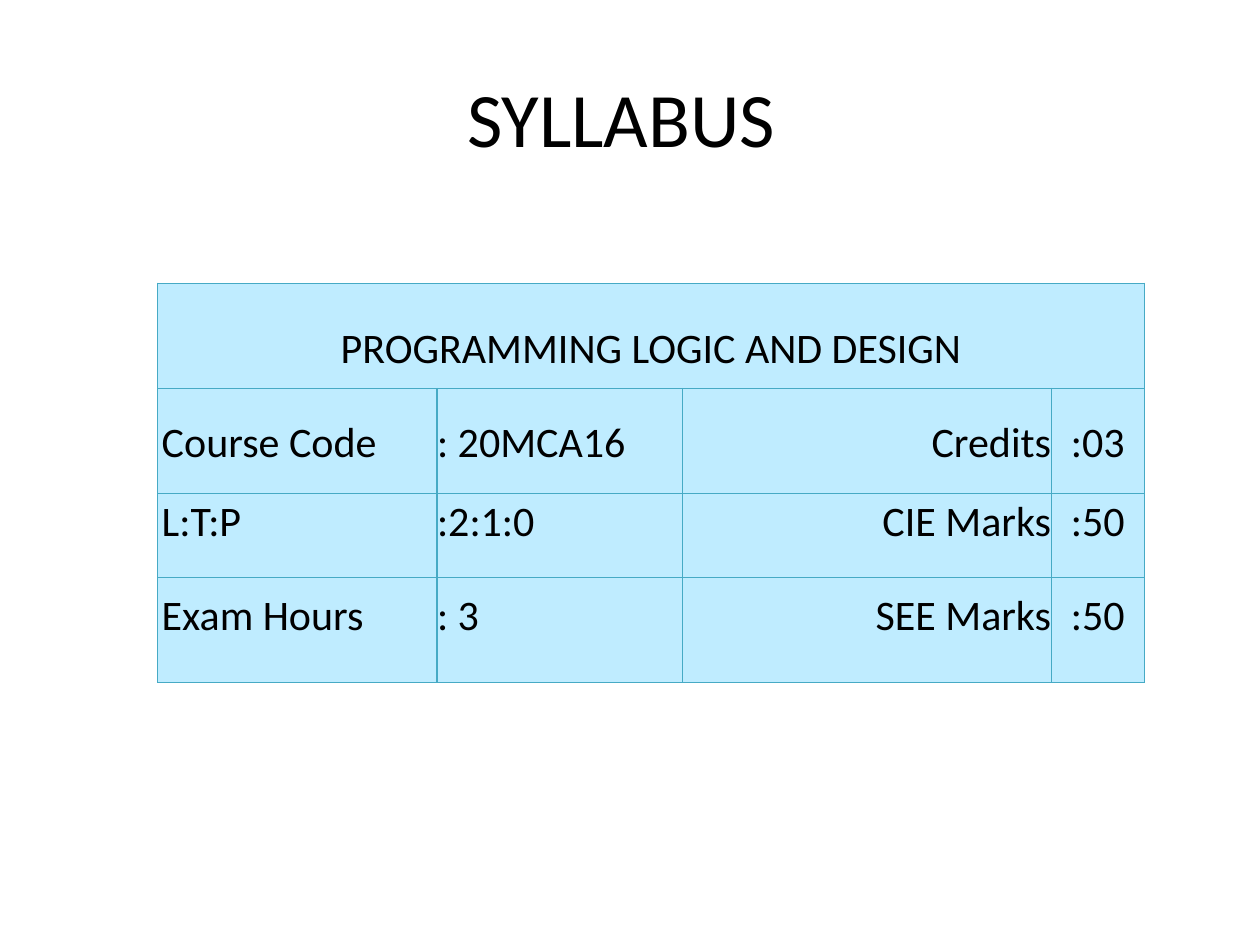
from lxml import etree
from pptx import Presentation
from pptx.dml.color import RGBColor
from pptx.enum.text import MSO_ANCHOR, PP_ALIGN
from pptx.oxml.ns import qn
from pptx.util import Cm, Pt

LEFT, MID, RIGHT = PP_ALIGN.LEFT, PP_ALIGN.CENTER, PP_ALIGN.RIGHT
MIDDLE = MSO_ANCHOR.MIDDLE


class Theme:
    font = "Calibri"
    ink = RGBColor(0x00, 0x00, 0x00)
    fill = RGBColor(0xBF, 0xEC, 0xFF)
    edge = "46AAC5"
    line = Pt(0.75)
    title = Pt(44)
    body = Pt(24)


def style(para, size, align):
    para.alignment = align
    for run in para.runs:
        run.font.name = Theme.font
        run.font.size = size
        run.font.color.rgb = Theme.ink


def border(cell):
    props = cell._tc.get_or_add_tcPr()
    for side in ("a:lnL", "a:lnR", "a:lnT", "a:lnB"):
        line = etree.SubElement(props, qn(side), w=str(Theme.line))
        solid = etree.SubElement(line, qn("a:solidFill"))
        etree.SubElement(solid, qn("a:srgbClr"), val=Theme.edge)


deck = Presentation()
deck.slide_width, deck.slide_height = Cm(25.4), Cm(19.05)
slide = deck.slides.add_slide(deck.slide_layouts[5])

# Title
title = slide.shapes.title
title.left, title.top = Cm(1.27), Cm(0.76)
title.width, title.height = Cm(22.86), Cm(3.18)
title.text_frame.text = "SYLLABUS "
title.text_frame.vertical_anchor = MIDDLE
style(title.text_frame.paragraphs[0], Theme.title, MID)

# Course table
rows = [
    ["PROGRAMMING LOGIC AND DESIGN", "", "", ""],
    ["Course Code", ": 20MCA16", "Credits", ":03"],
    ["L:T:P", ":2:1:0", "CIE Marks", ":50"],
    ["Exam Hours", ": 3", "SEE Marks", ":50"],
]
widths = [5.63, 4.95, 7.43, 1.88]
heights = [2.12, 2.12, 1.69, 2.12]
aligns = [LEFT, LEFT, RIGHT, MID]

table = slide.shapes.add_table(
    len(rows), len(widths), Cm(3.18), Cm(5.71),
    Cm(sum(widths)), Cm(sum(heights))).table
table.first_row = table.horz_banding = False
for col, width in zip(table.columns, widths):
    col.width = Cm(width)
for row, height in zip(table.rows, heights):
    row.height = Cm(height)

for r, row in enumerate(rows):
    for c, text in enumerate(row):
        cell = table.cell(r, c)
        border(cell)
        cell.fill.solid()
        cell.fill.fore_color.rgb = Theme.fill
        cell.vertical_anchor = MIDDLE
        cell.margin_left = Cm(0.08) if r and c == 0 else 0
        cell.margin_right = cell.margin_bottom = 0
        cell.margin_top = 0 if r else Cm(0.48)
        if not text:
            continue
        cell.text_frame.text = text
        para = cell.text_frame.paragraphs[0]
        para.line_spacing = 1.07 if r < 2 else Pt(13.7)
        para.space_after = Pt(8)
        style(para, Theme.body, aligns[c] if r else MID)

# Heading spans the full width
table.cell(0, 0).merge(table.cell(0, len(widths) - 1))

deck.save("out.pptx")
